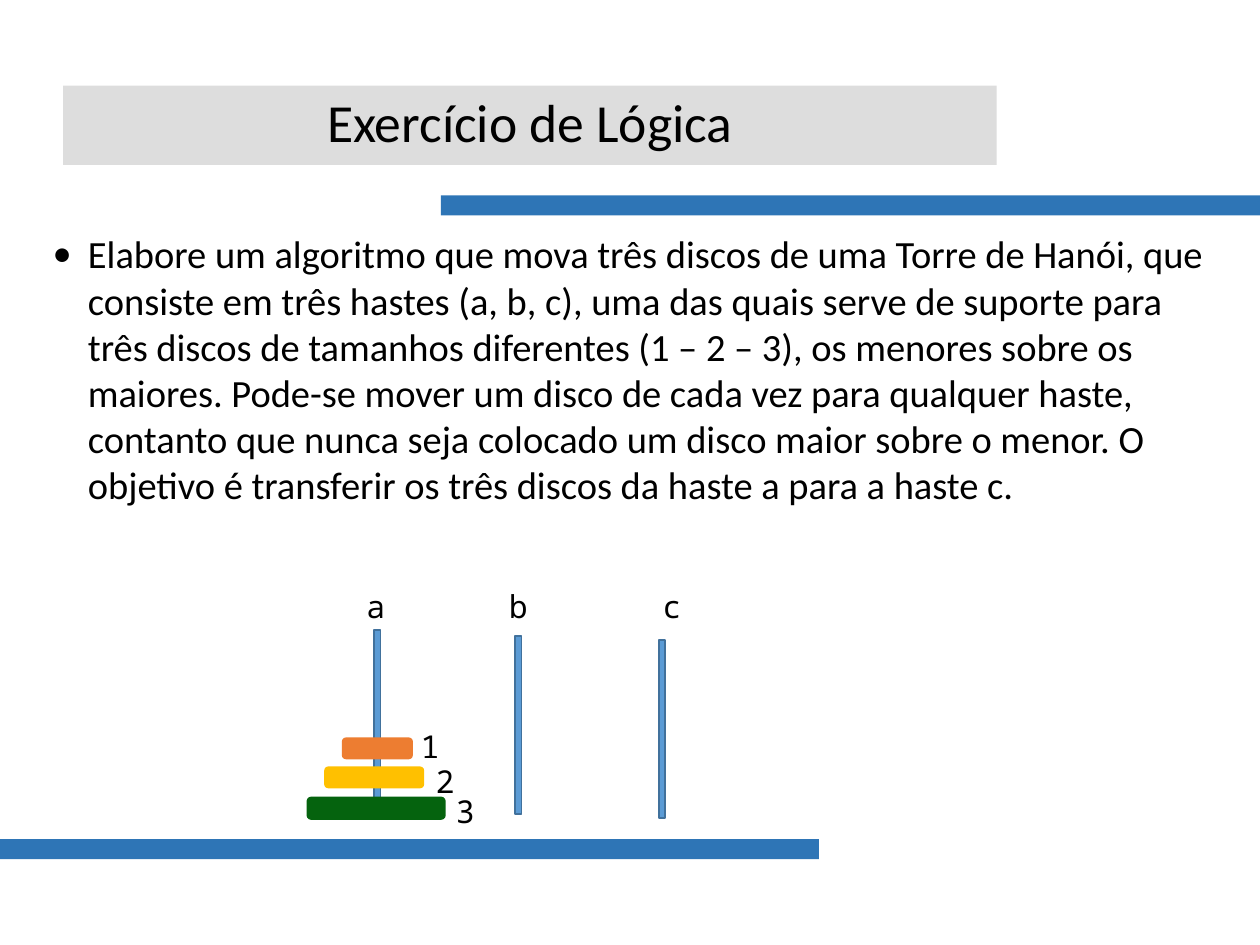
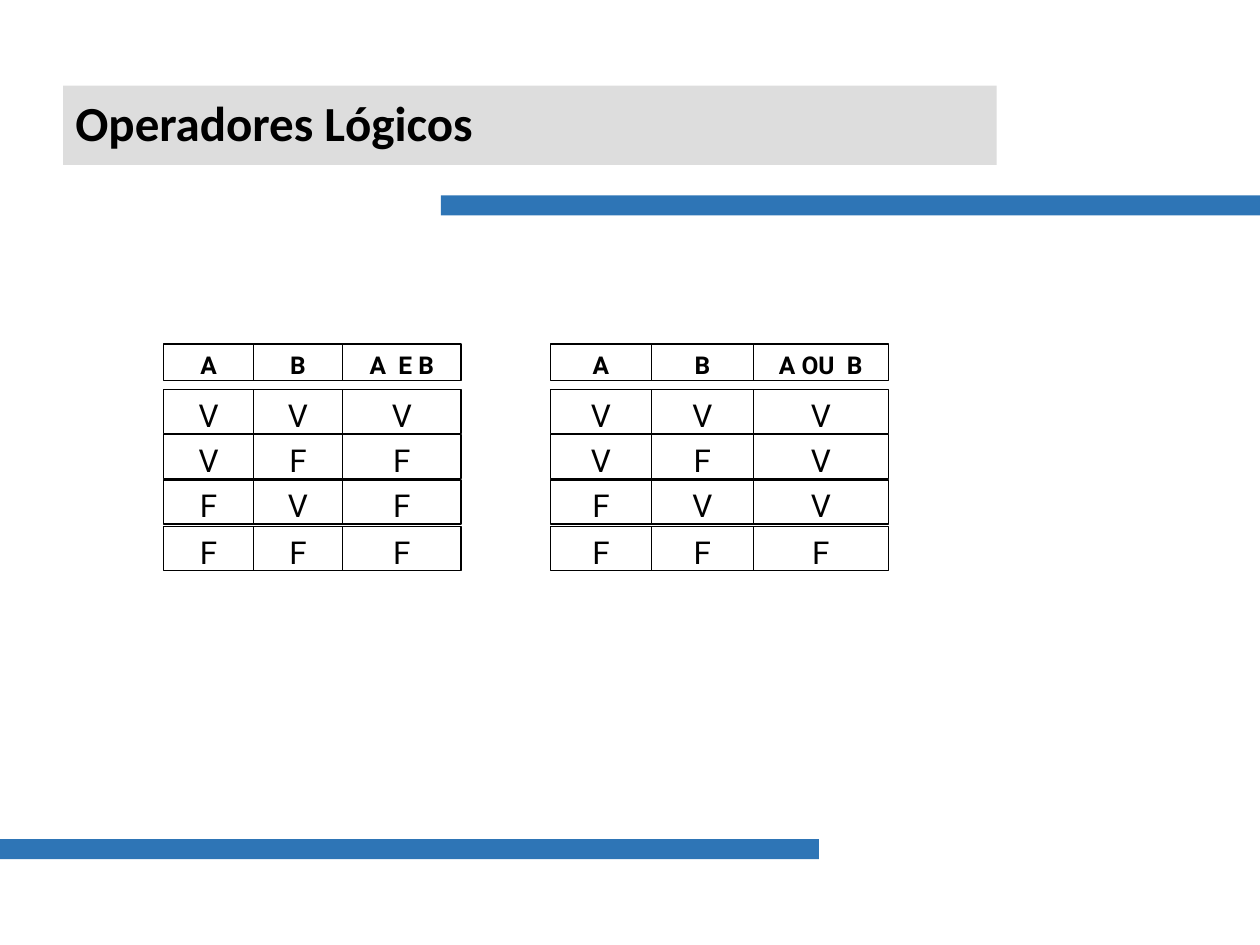
from dataclasses import dataclass
from itertools import accumulate, product
from typing import Callable

from lxml import etree
from pptx import Presentation
from pptx.dml.color import RGBColor
from pptx.enum.shapes import MSO_SHAPE
from pptx.enum.text import MSO_ANCHOR, MSO_AUTO_SIZE, PP_ALIGN
from pptx.oxml.ns import qn
from pptx.util import Inches, Pt

RECT, ROUNDED = MSO_SHAPE.RECTANGLE, MSO_SHAPE.ROUNDED_RECTANGLE
LEFT, CENTER = PP_ALIGN.LEFT, PP_ALIGN.CENTER
TOP, MIDDLE = MSO_ANCHOR.TOP, MSO_ANCHOR.MIDDLE
GROW = MSO_AUTO_SIZE.SHAPE_TO_FIT_TEXT


@dataclass(frozen=True)
class Theme:
    band: str = "2E75B6"
    title_fill: str = "DDDDDD"
    ink: str = "000000"
    rod: str = "5B9BD5"
    rod_line: str = "41719C"
    font: str = "Calibri"
    label_font: str = "Noto Sans Mono"
    table_font: str = "Roboto"
    exercise_title: float = 30.6
    operators_title: float = 28
    body: float = 22
    label: float = 18
    table_head: float = 14
    table_body: float = 18


THEME = Theme()


@dataclass(frozen=True)
class Box:
    left: float
    top: float
    width: float
    height: float

    def emu(self) -> tuple:
        return tuple(Inches(v) for v in (self.left, self.top, self.width, self.height))


@dataclass(frozen=True)
class Rod:
    name: str
    left: float
    top: float
    label_left: float


@dataclass(frozen=True)
class Disc:
    name: str
    box: Box
    color: str
    label_left: float
    label_top: float


@dataclass(frozen=True)
class TruthTable:
    left: float
    widths: tuple[float, float, float]
    formula: str
    operator: Callable[[bool, bool], bool]


BANDS = (Box(0, 6.66, 6.5, 0.16), Box(3.5, 1.55, 6.5, 0.16))
TITLE_BOX = Box(0.5, 0.68, 7.41, 0.63)
ROD_WIDTH, ROD_HEIGHT = 0.05, 1.41
LABEL_WIDTH, LABEL_HEIGHT = 0.62, 0.4
ROD_LABEL_TOP = 4.61
ROW_TOPS = (2.73, 3.09, 3.45, 3.81, 4.18)
HEAD_HEIGHT, ROW_HEIGHT = 0.29, 0.35

EXERCISE = (
    "Elabore um algoritmo que mova três discos de uma Torre de Hanói, que consiste em "
    "três hastes (a, b, c), uma das quais serve de suporte para três discos de tamanhos "
    "diferentes (1 – 2 – 3), os menores sobre os maiores. Pode-se mover um disco de cada "
    "vez para qualquer haste, contanto que nunca seja colocado um disco maior sobre o "
    "menor. O objetivo é transferir os três discos da haste a para a haste c."
)
RODS = (
    Rod("a", 2.97, 5.0, 2.81),
    Rod("b", 4.09, 5.05, 3.94),
    Rod("c", 5.23, 5.08, 5.16),
)
DISCS = (
    Disc("1", Box(2.72, 5.86, 0.55, 0.16), "ED7D31", 3.24, 5.72),
    Disc("2", Box(2.58, 6.09, 0.78, 0.16), "FFC000", 3.36, 6.0),
    Disc("3", Box(2.44, 6.33, 1.09, 0.17), "05630E", 3.52, 6.24),
)
TRUTH_TABLES = (
    TruthTable(1.3, (0.71, 0.71, 0.94), "A  E B", lambda a, b: a and b),
    TruthTable(4.37, (0.8, 0.81, 1.07), "A OU  B", lambda a, b: a or b),
)


def write(frame, text: str, *, size: float, font: str = THEME.font, bold: bool = False,
          align=LEFT, line_spacing: float | None = None, space_before: float = 0):
    """Fill the first paragraph of a text frame and return it."""
    paragraph = frame.paragraphs[0]
    paragraph.alignment = align
    paragraph.space_before = Pt(space_before)
    if line_spacing:
        paragraph.line_spacing = line_spacing
    run = paragraph.add_run()
    run.text = text
    run.font.name, run.font.size, run.font.bold = font, Pt(size), bold
    run.font.color.rgb = RGBColor.from_string(THEME.ink)
    return paragraph


def add_block(slide, box: Box, fill: str | None = None, line: str | None = None,
              line_width: float = 1, kind=RECT):
    block = slide.shapes.add_shape(kind, *box.emu())
    block.shadow.inherit = False
    if fill:
        block.fill.solid()
        block.fill.fore_color.rgb = RGBColor.from_string(fill)
    else:
        block.fill.background()
    if line:
        block.line.color.rgb = RGBColor.from_string(line)
        block.line.width = Pt(line_width)
    else:
        block.line.fill.background()
    return block


def add_text(slide, box: Box, text: str, **style):
    frame = slide.shapes.add_textbox(*box.emu()).text_frame
    frame.word_wrap = True
    return write(frame, text, **style)


def add_label(slide, left: float, top: float, text: str) -> None:
    add_text(slide, Box(left, top, LABEL_WIDTH, LABEL_HEIGHT), text,
             size=THEME.label, font=THEME.label_font)


def add_bullet(paragraph) -> None:
    properties = paragraph._p.get_or_add_pPr()
    properties.set("marL", str(Inches(0.4)))
    properties.set("indent", str(Inches(-0.28)))
    color = etree.SubElement(properties, qn("a:buClr"))
    etree.SubElement(color, qn("a:srgbClr"), val=THEME.ink)
    etree.SubElement(properties, qn("a:buFont"), typeface=THEME.font)
    etree.SubElement(properties, qn("a:buChar"), char="•")


def start_slide(deck, title: str, **style):
    """Add a blank slide with the shared bands and title bar."""
    slide = deck.slides.add_slide(deck.slide_layouts[6])
    for band in BANDS:
        add_block(slide, band, THEME.band)
    frame = add_block(slide, TITLE_BOX, THEME.title_fill).text_frame
    frame.word_wrap = True
    frame.vertical_anchor = MIDDLE
    write(frame, title, line_spacing=0.9, **style)
    return slide


def add_cell(slide, box: Box, text: str, head: bool) -> None:
    frame = add_block(slide, box, line=THEME.ink, line_width=0.75).text_frame
    frame.word_wrap = True
    frame.auto_size = GROW
    frame.vertical_anchor = TOP
    frame.margin_bottom = 0
    write(frame, text, font=THEME.table_font, bold=head, align=CENTER,
          size=THEME.table_head if head else THEME.table_body,
          space_before=8.8 if head else 11.2)


def add_truth_table(slide, spec: TruthTable) -> None:
    """Draw a truth table as separate strips of boxes, the head set apart."""
    rows = [("A", "B", spec.formula)]
    for a, b in product((True, False), repeat=2):
        rows.append(tuple("V" if value else "F" for value in (a, b, spec.operator(a, b))))

    lefts = tuple(accumulate(spec.widths, initial=spec.left))
    for r, (top, values) in enumerate(zip(ROW_TOPS, rows)):
        head = r == 0
        height = HEAD_HEIGHT if head else ROW_HEIGHT
        for left, width, value in zip(lefts, spec.widths, values):
            add_cell(slide, Box(left, top, width, height), value, head)


def build_exercise(deck) -> None:
    slide = start_slide(deck, "Exercício de Lógica", size=THEME.exercise_title, align=CENTER)
    add_bullet(add_text(slide, Box(0.2, 1.78, 9.5, 2.44), EXERCISE,
                        size=THEME.body, space_before=5.5))
    # Tower of Hanoi
    for rod in RODS:
        add_block(slide, Box(rod.left, rod.top, ROD_WIDTH, ROD_HEIGHT),
                  THEME.rod, THEME.rod_line)
        add_label(slide, rod.label_left, ROD_LABEL_TOP, rod.name)
    for disc in DISCS:
        add_block(slide, disc.box, disc.color, disc.color, kind=ROUNDED)
        add_label(slide, disc.label_left, disc.label_top, disc.name)


def build_operators(deck) -> None:
    slide = start_slide(deck, "Operadores Lógicos", size=THEME.operators_title, bold=True)
    for spec in TRUTH_TABLES:
        add_truth_table(slide, spec)


def main() -> None:
    deck = Presentation()
    deck.slide_width, deck.slide_height = Inches(10), Inches(7.5)
    build_exercise(deck)
    build_operators(deck)
    deck.save("out.pptx")


if __name__ == "__main__":
    main()
